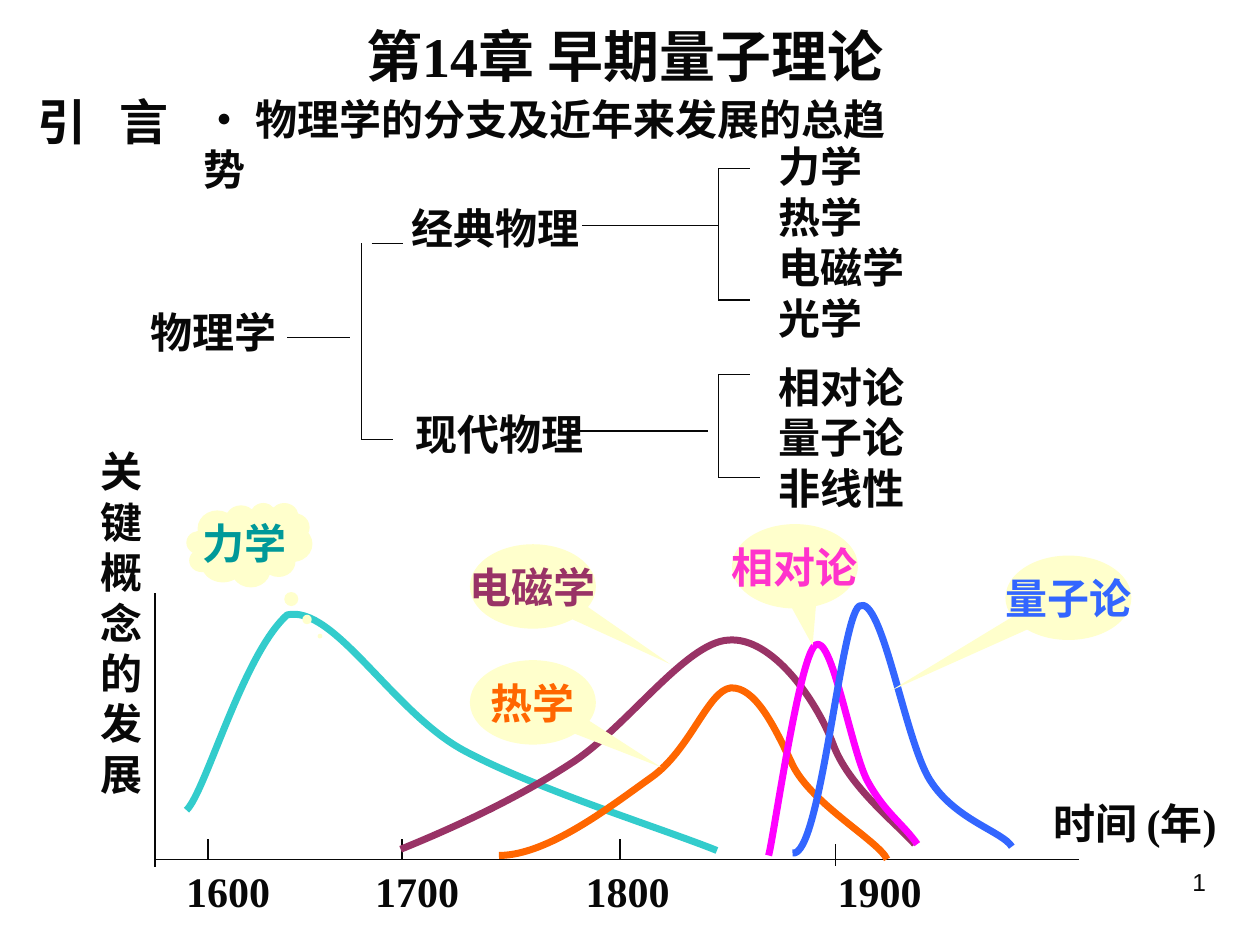
from typing import NamedTuple

from pptx import Presentation
from pptx.dml.color import RGBColor
from pptx.enum.shapes import MSO_CONNECTOR, MSO_SHAPE
from pptx.enum.text import MSO_ANCHOR, MSO_AUTO_SIZE, PP_ALIGN
from pptx.oxml.ns import qn
from pptx.util import Inches, Pt

STRAIGHT = MSO_CONNECTOR.STRAIGHT
CLOUD = MSO_SHAPE.CLOUD_CALLOUT
ELLIPSE = MSO_SHAPE.OVAL_CALLOUT
LEFT, CENTER, RIGHT = PP_ALIGN.LEFT, PP_ALIGN.CENTER, PP_ALIGN.RIGHT
MIDDLE = MSO_ANCHOR.MIDDLE
FIT_SHAPE = MSO_AUTO_SIZE.SHAPE_TO_FIT_TEXT
INK, BALLOON = "080808", "FFFFCC"
SERIF, SANS = "Times New Roman", "Arial"
AXIS_LEFT, AXIS_BOTTOM = 1.23, 6.82


class Label(NamedTuple):
    """A text box: its text, place and type size."""
    text: str
    left: float
    top: float
    width: float
    height: float
    size: float = 24
    wrap: bool = False
    tabs: tuple = ()


class Line(NamedTuple):
    """A straight line between two points."""
    x1: float
    y1: float
    x2: float
    y2: float


class Curve(NamedTuple):
    """A start point followed by Bezier control points in threes."""
    color: str
    points: list


class Callout(NamedTuple):
    """A balloon naming one curve, with the offset of its tip."""
    text: str
    color: str
    left: float
    top: float
    tip: tuple
    kind: MSO_SHAPE = ELLIPSE


LABELS = [
    Label("引\t言", 0.2, 0.68, 1.89, 0.57, 28, True, (0.65,)),
    Label("• 物理学的分支及近年来发展的总趋势", 1.52, 0.69, 5.74, 0.5, wrap=True),
    Label("物理学", 1.1, 2.38, 1.2, 0.5),
    Label("经典物理", 3.17, 1.56, 1.53, 0.5),
    Label("现代物理", 3.2, 3.19, 1.53, 0.5),
    Label("力学\n热学\n电磁学\n光学", 6.08, 1.07, 1.2, 1.7),
    Label("相对论\n量子论\n非线性", 6.08, 2.82, 1.2, 1.3),
    Label("时间 (年)", 8.26, 6.28, 1.74, 0.5),
    Label("\n".join("关键概念的发展"), 0.7, 3.49, 0.53, 2.9),
    Label("1600\t1700\t1800\t1900", 1.38, 6.82, 6.1, 0.5, wrap=True,
          tabs=(1.5, 3.17, 5.17)),
    Label("第14章 早期量子理论", 2.81, 0.12, 4.64, 0.64, 32),
]

BRANCHES = [
    Line(2.28, 2.68, 2.78, 2.68), Line(2.87, 1.93, 2.87, 3.49),
    Line(2.95, 1.93, 3.2, 1.93), Line(2.87, 3.49, 3.12, 3.49),
    Line(4.62, 1.79, 5.7, 1.79), Line(5.7, 1.34, 5.7, 2.38),
    Line(5.7, 1.34, 5.95, 1.34), Line(5.7, 2.38, 5.95, 2.38),
    Line(4.53, 3.42, 5.62, 3.42), Line(5.7, 2.97, 5.7, 3.79),
    Line(5.7, 2.97, 5.95, 2.97), Line(5.7, 3.79, 6.03, 3.79),
]
AXES = [
    Line(AXIS_LEFT, AXIS_BOTTOM, 8.56, AXIS_BOTTOM),
    Line(AXIS_LEFT, 4.71, AXIS_LEFT, 6.88),
]
TICKS = [Line(x, 6.66, x, AXIS_BOTTOM) for x in (1.65, 3.19, 4.92)]
TICKS.append(Line(6.63, 6.7, 6.63, 6.87))

CURVES = [
    Curve("33CCCC", [(1.48, 6.43), (1.63, 6.29), (1.93, 5.19), (2.28, 4.88),
                     (2.65, 4.8), (3.11, 5.64), (3.67, 5.95),
                     (4.24, 6.26), (5.27, 6.58), (5.69, 6.75)]),
    Curve("993366", [(7.26, 6.7), (7.12, 6.54), (6.73, 6.24), (6.61, 5.9),
                     (6.48, 5.56), (6.13, 5.05), (5.78, 5.08),
                     (5.44, 5.1), (4.97, 5.78), (4.53, 6.06),
                     (4.1, 6.34), (3.6, 6.57), (3.18, 6.74)]),
    Curve("FF6600", [(7.04, 6.82), (6.98, 6.68), (6.44, 6.38), (6.29, 6.07),
                     (6.14, 5.75), (5.99, 5.45), (5.8, 5.46),
                     (5.62, 5.48), (5.48, 5.95), (5.17, 6.17),
                     (4.86, 6.39), (4.35, 6.79), (3.96, 6.79)]),
    Curve("FF00FF", [(6.1, 6.79), (6.14, 6.65), (6.34, 5.23), (6.47, 5.12),
                     (6.6, 5.02), (6.75, 5.93), (6.88, 6.19),
                     (7.02, 6.45), (7.16, 6.53), (7.28, 6.7)]),
    Curve("3366FF", [(6.29, 6.77), (6.51, 6.82), (6.67, 4.91), (6.82, 4.81),
                     (7.0, 4.71), (7.18, 5.87), (7.38, 6.19),
                     (7.58, 6.51), (7.96, 6.6), (8.03, 6.72)]),
]

CALLOUTS = [
    Callout("力学", "009999", 1.48, 3.99, (0.56, 1.08), CLOUD),
    Callout("电磁学", "993366", 3.73, 4.32, (1.09, 0.92)),
    Callout("热学", "FF6600", 3.73, 5.24, (1.02, 0.77)),
    Callout("相对论", "FF33CC", 5.81, 4.16, (0.14, 0.94)),
    Callout("量子论", "3366FF", 7.98, 4.41, (-1.41, 1.1)),
]


def rgb(value: str) -> RGBColor:
    """Turn a hex string into a colour."""
    return RGBColor.from_string(value)


def write_text(shape, text: str, *, size=24, color=INK, font=SERIF, bold=True,
               align=LEFT, wrap=False, tabs=()) -> None:
    """Fill a shape with one formatted paragraph per line of text."""
    frame = shape.text_frame
    frame.text = text
    frame.word_wrap = wrap
    for paragraph in frame.paragraphs:
        paragraph.alignment = align
        if tabs:
            properties = paragraph._p.get_or_add_pPr()
            tab_list = properties.makeelement(qn("a:tabLst"), {})
            properties.append(tab_list)
            for position in tabs:
                tab = tab_list.makeelement(
                    qn("a:tab"), {"pos": str(Inches(position)), "algn": "l"})
                tab_list.append(tab)
        for run in paragraph.runs:
            run.font.size = Pt(size)
            run.font.name = font
            run.font.bold = bold
            run.font.color.rgb = rgb(color)


def add_label(slide, label: Label, **style) -> None:
    """Add a text box."""
    box = slide.shapes.add_textbox(Inches(label.left), Inches(label.top),
                                   Inches(label.width), Inches(label.height))
    write_text(box, label.text, size=label.size, wrap=label.wrap,
               tabs=label.tabs, **style)
    if not label.wrap:
        box.text_frame.auto_size = FIT_SHAPE


def add_line(slide, line: Line) -> None:
    """Draw a thin straight line."""
    connector = slide.shapes.add_connector(STRAIGHT, *map(Inches, line))
    connector.line.color.rgb = rgb(INK)
    connector.line.width = Pt(0.75)
    properties = connector._element.spPr
    properties.append(properties.makeelement(qn("a:effectLst"), {}))


def bend_segments(shape) -> None:
    """Turn each three straight segments into one cubic Bezier segment."""
    segments = list(shape._element.iter(qn("a:lnTo")))
    for start in range(0, len(segments), 3):
        first = segments[start]
        bend = first.makeelement(qn("a:cubicBezTo"), {})
        first.addprevious(bend)
        for segment in segments[start:start + 3]:
            bend.append(segment[0])
            segment.getparent().remove(segment)


def add_curve(slide, curve: Curve) -> None:
    """Draw a smooth open curve."""
    start, *controls = [tuple(map(Inches, point)) for point in curve.points]
    builder = slide.shapes.build_freeform(*start)
    builder.add_line_segments(controls, close=False)
    shape = builder.convert_to_shape()
    bend_segments(shape)
    shape.shadow.inherit = False
    shape.fill.background()
    shape.line.color.rgb = rgb(curve.color)
    shape.line.width = Pt(4)


def add_callout(slide, callout: Callout) -> None:
    """Draw a pale balloon pointing at its curve."""
    shape = slide.shapes.add_shape(callout.kind, Inches(callout.left),
                                   Inches(callout.top), Inches(1), Inches(0.67))
    shape.adjustments[0], shape.adjustments[1] = callout.tip
    shape.shadow.inherit = False
    shape.fill.solid()
    shape.fill.fore_color.rgb = rgb(BALLOON)
    shape.line.fill.background()
    shape.text_frame.vertical_anchor = MIDDLE
    write_text(shape, callout.text, color=callout.color, align=CENTER)


def main() -> None:
    """Build and save the slide."""
    presentation = Presentation()
    presentation.slide_width, presentation.slide_height = Inches(10), Inches(7.5)
    slide = presentation.slides.add_slide(presentation.slide_layouts[6])
    add_label(slide, Label("1", 7.17, 6.83, 2.5, 0.52, 14, True),
              font=SANS, bold=False, align=RIGHT)
    for line in BRANCHES + AXES + TICKS:
        add_line(slide, line)
    for curve in CURVES:
        add_curve(slide, curve)
    for callout in CALLOUTS:
        add_callout(slide, callout)
    for label in LABELS:
        add_label(slide, label)
    presentation.save("out.pptx")


if __name__ == "__main__":
    main()
